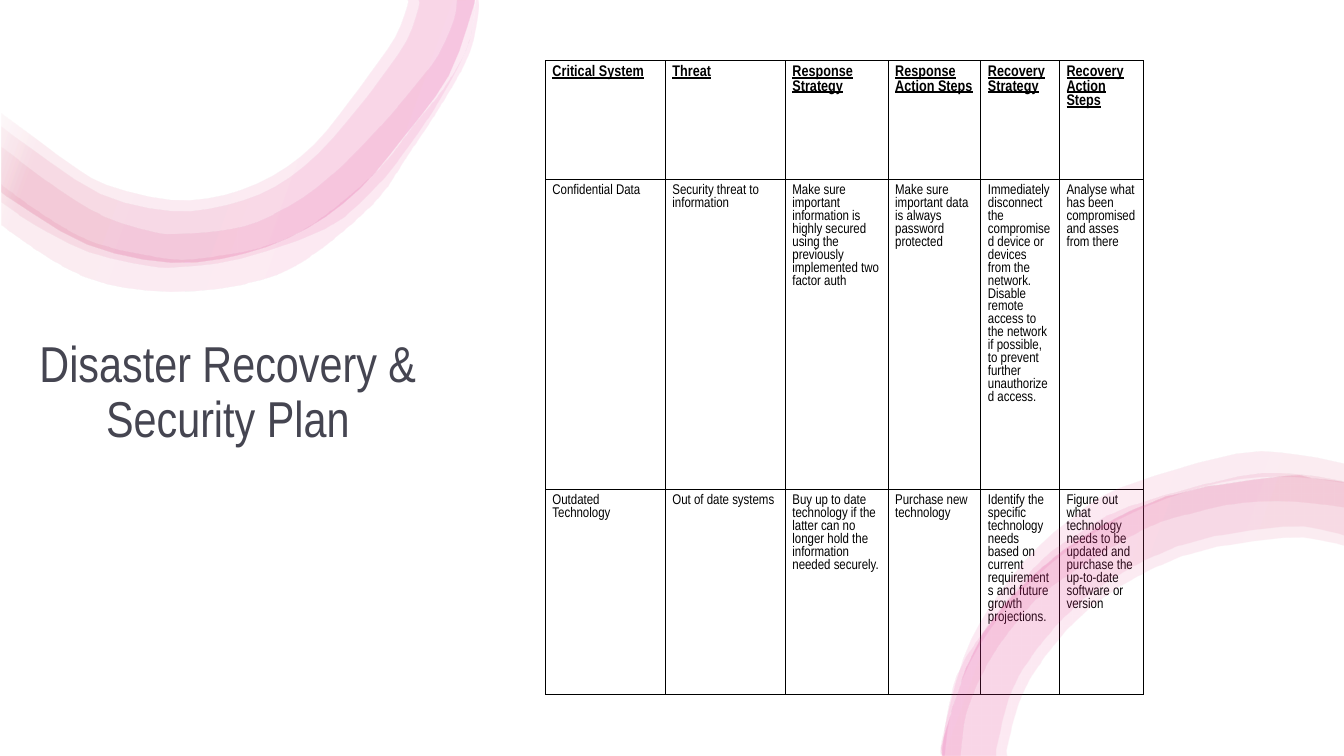
from dataclasses import dataclass

from lxml.etree import SubElement
from pptx import Presentation
from pptx.dml.color import RGBColor
from pptx.enum.shapes import MSO_SHAPE as Preset
from pptx.enum.text import MSO_ANCHOR as Anchor, PP_ALIGN as Align
from pptx.oxml.ns import qn
from pptx.slide import Slide
from pptx.table import _Cell as Cell
from pptx.text.text import TextFrame
from pptx.util import Inches, Pt

Point = tuple[float, float]
Edge = list[Point]


@dataclass(frozen=True)
class Theme:
    font: str = "Arial Narrow"
    paper: str = "FFFFFF"
    title_ink: str = "454551"
    table_ink: str = "000000"
    title_size: float = 36
    header_size: float = 11
    body_size: float = 10
    border_width: float = 0.75
    ribbon_opacity: int = 10
    ribbon_stops: tuple[tuple[int, str], ...] = (
        (2, "FFFFFF"), (16, "D54773"), (85, "E32D91"), (100, "FFFFFF"))


@dataclass(frozen=True)
class Ribbon:
    inner: Edge
    outer: Edge
    angle: int


THEME = Theme()
TOP_ANGLE, BOTTOM_ANGLE = 20, 200
UNITS_PER_INCH = 1000
HARD_SPACE = " "

TOP_OUTER = [(0.02, 1.9), (0.16, 2), (0.87, 2.42), (1.7, 2.6), (2.43, 2.51), (3.05, 2.26),
             (3.57, 1.87), (4.01, 1.35), (4.45, 0.75), (4.69, 0.08), (4.7, 0)]
BOTTOM_OUTER = [(9.35, 7.5), (9.37, 7.28), (9.75, 6.28), (10.53, 5.47), (11.56, 4.93),
                (12.72, 4.73), (13, 4.75), (13.28, 4.78), (13.33, 4.8)]

TOP_RIBBONS = [
    Ribbon([(4.71, 0), (4.68, 0.27), (4.6, 0.54), (4.38, 0.9), (4.1, 1.24), (3.74, 1.69),
            (3.1, 2.22), (2.59, 2.45), (2.04, 2.55), (1.66, 2.56), (0.96, 2.41),
            (0.47, 2.15), (0.02, 1.83)],
           [(0.02, 2.23), (0.53, 2.58), (1.02, 2.8), (1.69, 2.89), (2.39, 2.82),
            (2.99, 2.6), (3.7, 2.02), (4.04, 1.54), (4.36, 1.06), (4.64, 0.56),
            (4.74, 0.14), (4.74, 0)], TOP_ANGLE),
    Ribbon([(4.52, 0), (4.49, 0.2), (4.34, 0.54), (4.11, 0.85), (3.75, 1.27), (3.39, 1.64),
            (3, 1.96), (2.55, 2.2), (2.17, 2.29), (1.74, 2.32), (1.52, 2.3),
            (1.04, 2.15), (0.6, 1.89), (0.02, 1.46)],
           [(0.02, 2.01), (0.35, 2.23), (0.88, 2.5), (1.48, 2.64), (1.78, 2.65),
            (2.37, 2.57), (3.22, 2.27), (3.68, 1.9), (4.04, 1.46), (4.34, 1.01),
            (4.61, 0.51), (4.68, 0.24), (4.7, 0)], TOP_ANGLE),
    Ribbon([(4.15, 0), (4.15, 0.08), (4.03, 0.41), (3.76, 0.8), (3.56, 1.06), (3.16, 1.52),
            (2.73, 1.85), (2.25, 2.03), (1.7, 2.09), (1, 1.92), (0.29, 1.45),
            (0.02, 1.25)], TOP_OUTER, TOP_ANGLE),
    Ribbon([(4.04, 0), (4.04, 0.06), (3.92, 0.37), (3.67, 0.73), (3.47, 1), (3.12, 1.43),
            (2.71, 1.74), (2.23, 1.93), (1.7, 1.98), (1.06, 1.83), (0.7, 1.62),
            (0.36, 1.37), (0.02, 1.12)], TOP_OUTER, TOP_ANGLE),
]
BOTTOM_RIBBONS = [
    Ribbon([(13.33, 5.42), (13.17, 5.38), (12.72, 5.34), (11.72, 5.52), (10.82, 6.02),
            (10.21, 6.74), (10, 7.36), (9.99, 7.5)], BOTTOM_OUTER, BOTTOM_ANGLE),
    Ribbon([(13.33, 5.32), (13.19, 5.28), (12.72, 5.23), (11.68, 5.42), (10.75, 5.94),
            (10.11, 6.69), (9.9, 7.34), (9.88, 7.5)], BOTTOM_OUTER, BOTTOM_ANGLE),
    Ribbon([(13.33, 5.04), (12.84, 4.98), (12.32, 4.99), (11.8, 5.1), (11.31, 5.27),
            (10.43, 5.82), (10.07, 6.19), (9.79, 6.6), (9.59, 7.07), (9.53, 7.5)],
           [(9.35, 7.5), (9.41, 7.02), (9.59, 6.51), (10.25, 5.64), (10.69, 5.3),
            (11.19, 5.03), (12.28, 4.73), (12.86, 4.71), (13.33, 4.78)], BOTTOM_ANGLE),
    Ribbon([(13.33, 4.8), (12.84, 4.74), (12.29, 4.76), (11.74, 4.89), (11.23, 5.09),
            (10.74, 5.36), (10.3, 5.7), (9.92, 6.11), (9.62, 6.57), (9.43, 7.08),
            (9.37, 7.5)],
           [(9.34, 7.5), (9.34, 7.35), (9.55, 6.54), (9.81, 6.03), (10.16, 5.57),
            (10.59, 5.17), (11.09, 4.85), (12.25, 4.51), (12.86, 4.52), (13.33, 4.61)],
           BOTTOM_ANGLE),
]

COLUMN_WIDTHS = [1.19, 1.19, 1.02, 0.92, 0.78, 0.83]
ROW_HEIGHTS = [1.18, 3.08, 2.03]
PLAN = [
    ["Critical System", "Threat", "Response Strategy", "Response Action Steps",
     "Recovery Strategy", "Recovery Action Steps"],
    ["Confidential Data", "Security threat to information",
     "Make sure important information is highly secured using the previously "
     "implemented two factor auth",
     "Make sure important data is always password protected",
     "Immediately disconnect the compromised device or devices from the network. "
     "Disable remote access to the network if possible, to prevent further "
     "unauthorized access.",
     "Analyse what has been compromised and asses from there"],
    ["Outdated Technology", "Out of date systems",
     "Buy up to date technology if the latter can no longer hold the information "
     "needed securely.",
     "Purchase new technology",
     "Identify the specific technology needs based on current requirements and "
     "future growth projections.",
     "Figure out what technology needs to be updated and purchase the up-to-date "
     "software or version"],
]


def smooth(knots: Edge, steps: int = 3) -> Edge:
    padded = [knots[0], *knots, knots[-1]]
    curve = [knots[0]]
    for before, start, end, after in zip(padded, padded[1:], padded[2:], padded[3:]):
        for step in range(1, steps + 1):
            t = step / steps
            curve.append(tuple(
                b + (c - a) * t / 2 + (2 * a - 5 * b + 4 * c - d) * t**2 / 2
                + (3 * b - a - 3 * c + d) * t**3 / 2
                for a, b, c, d in zip(before, start, end, after)))
    return curve


def add_ribbon(slide: Slide, ribbon: Ribbon) -> None:
    outline = [(x * UNITS_PER_INCH, y * UNITS_PER_INCH)
               for x, y in smooth(ribbon.inner) + smooth(ribbon.outer)]
    builder = slide.shapes.build_freeform(*outline[0], scale=Inches(1) / UNITS_PER_INCH)
    builder.add_line_segments(outline[1:], close=True)
    band = builder.convert_to_shape()
    band.shadow.inherit = False
    band.line.fill.background()
    band.fill.gradient()
    gradient = band._element.spPr.find(qn("a:gradFill"))
    gradient.find(qn("a:lin")).set("ang", str(ribbon.angle * 60000))
    stops = gradient.find(qn("a:gsLst"))
    stops.clear()
    for position, colour in THEME.ribbon_stops:
        stop = SubElement(stops, qn("a:gs"), pos=str(position * 1000))
        tint = SubElement(stop, qn("a:srgbClr"), val=colour)
        SubElement(tint, qn("a:alpha"), val=str(THEME.ribbon_opacity * 1000))


def write(frame: TextFrame, text: str, size: float, colour: str, strong: bool = False) -> None:
    frame.word_wrap = True
    run = frame.paragraphs[0].add_run()
    run.text = text
    run.font.name, run.font.size = THEME.font, Pt(size)
    run.font.bold = run.font.underline = strong
    run.font.color.rgb = RGBColor.from_string(colour)


def style_cell(cell: Cell) -> None:
    cell.margin_left = cell.margin_right = Inches(0.07)
    cell.margin_top = cell.margin_bottom = Inches(0.05)
    properties = cell._tc.get_or_add_tcPr()
    for side in ("a:lnL", "a:lnR", "a:lnT", "a:lnB"):
        border = SubElement(properties, qn(side), w=str(Pt(THEME.border_width)))
        SubElement(SubElement(border, qn("a:solidFill")), qn("a:srgbClr"), val=THEME.table_ink)
    cell.fill.background()


def add_plan(slide: Slide) -> None:
    table = slide.shapes.add_table(
        len(PLAN), len(COLUMN_WIDTHS), Inches(5.41), Inches(0.6),
        Inches(sum(COLUMN_WIDTHS)), Inches(sum(ROW_HEIGHTS))).table
    table.first_row = table.horz_banding = False
    for column, width in zip(table.columns, COLUMN_WIDTHS):
        column.width = Inches(width)
    for index, (row, height, texts) in enumerate(zip(table.rows, ROW_HEIGHTS, PLAN)):
        row.height = Inches(height)
        header = index == 0
        size = THEME.header_size if header else THEME.body_size
        for cell, text in zip(row.cells, texts):
            style_cell(cell)
            write(cell.text_frame, text, size, THEME.table_ink, header)
            write(cell.text_frame, HARD_SPACE, size, THEME.table_ink)


def main() -> None:
    deck = Presentation()
    deck.slide_width, deck.slide_height = Inches(13.33), Inches(7.5)
    slide = deck.slides.add_slide(deck.slide_layouts[6])
    backdrop = slide.shapes.add_shape(Preset.RECTANGLE, 0, 0, deck.slide_width, deck.slide_height)
    backdrop.shadow.inherit = False
    backdrop.fill.solid()
    backdrop.fill.fore_color.rgb = RGBColor.from_string(THEME.paper)
    backdrop.line.fill.background()
    title = slide.shapes.add_textbox(0, Inches(1.69), Inches(4.52), Inches(4.43)).text_frame
    title.vertical_anchor = Anchor.MIDDLE
    title.paragraphs[0].alignment = Align.CENTER
    title.paragraphs[0].line_spacing = 0.9
    write(title, "Disaster Recovery & Security Plan", THEME.title_size, THEME.title_ink)
    for ribbon in TOP_RIBBONS:
        add_ribbon(slide, ribbon)
    add_plan(slide)
    for ribbon in BOTTOM_RIBBONS:
        add_ribbon(slide, ribbon)
    deck.save("out.pptx")


if __name__ == "__main__":
    main()
